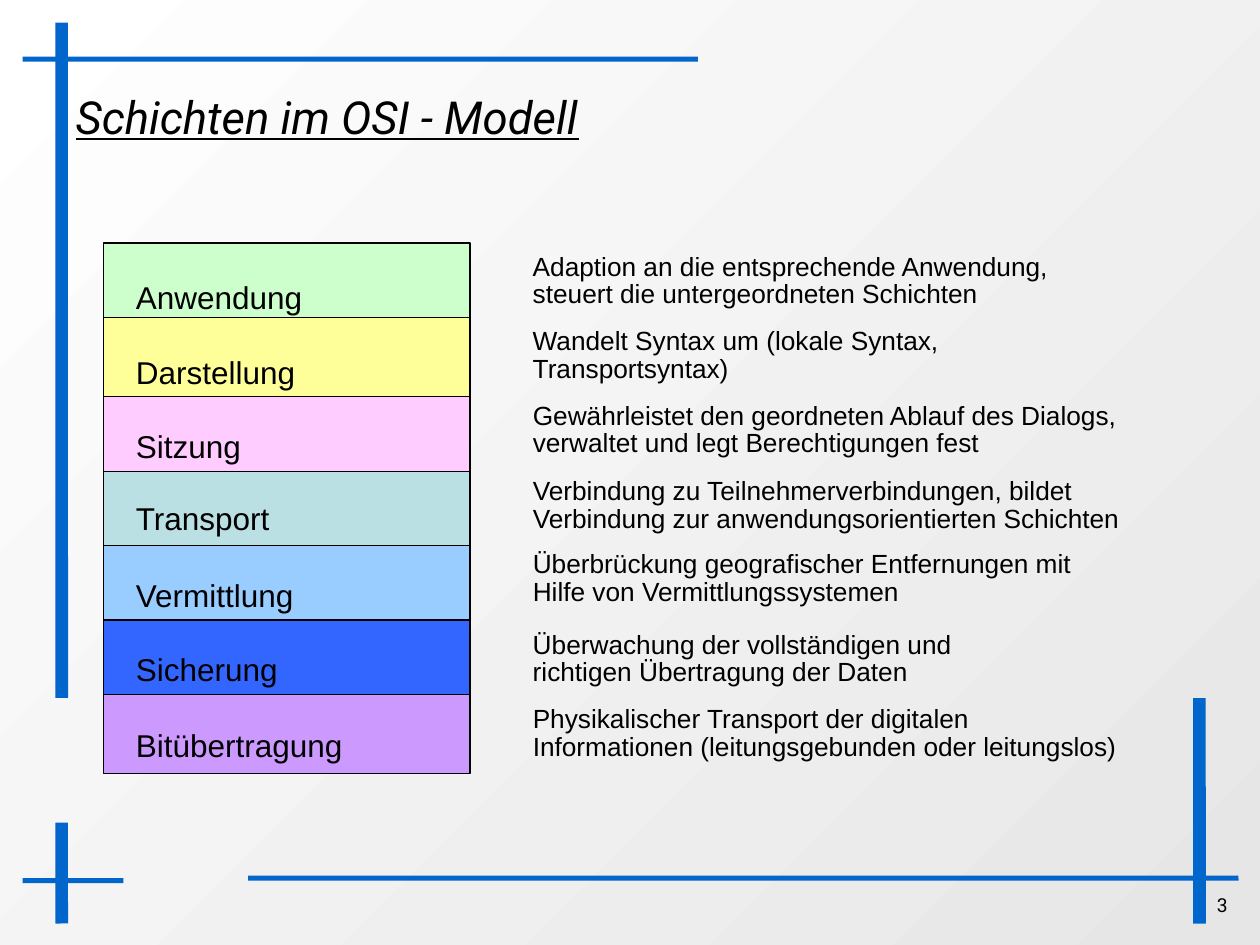
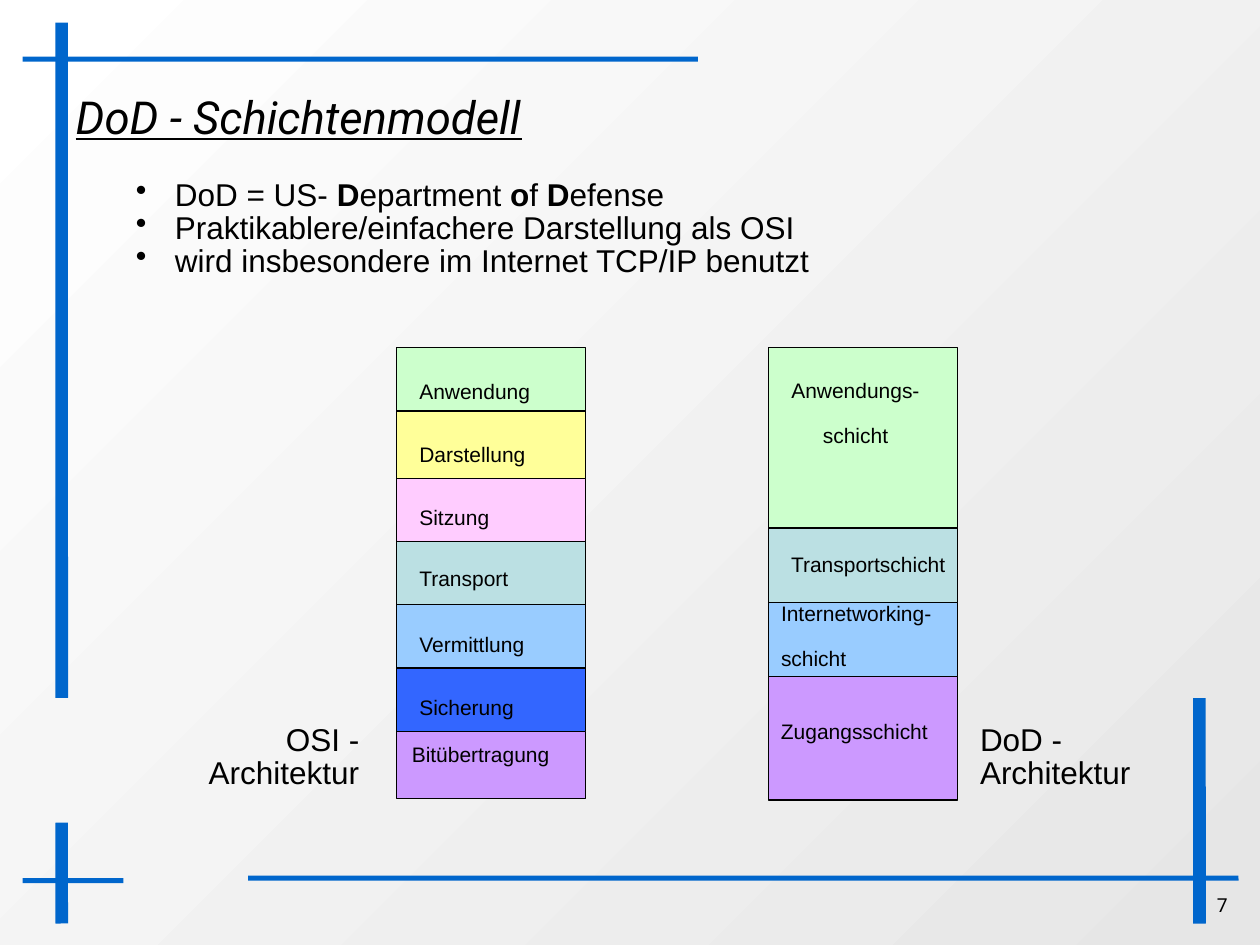
import pptx
import pptx.dml.color
import pptx.enum.shapes
import pptx.enum.text
import pptx.oxml
import pptx.oxml.ns
import pptx.util
from pptx.util import Inches

RGBColor = pptx.dml.color.RGBColor
ALIGN = pptx.enum.text.PP_ALIGN
ANCHOR = pptx.enum.text.MSO_ANCHOR
SHAPE = pptx.enum.shapes.MSO_SHAPE

BLACK = RGBColor(0x00, 0x00, 0x00)
WHITE = RGBColor(0xFF, 0xFF, 0xFF)
GREY = RGBColor(0xE6, 0xE6, 0xE6)
BAR_BLUE = RGBColor(0x00, 0x66, 0xCC)
GREEN = RGBColor(0xCC, 0xFF, 0xCC)
YELLOW = RGBColor(0xFF, 0xFF, 0x99)
PINK = RGBColor(0xFF, 0xCC, 0xFF)
TEAL = RGBColor(0xBB, 0xE0, 0xE3)
SKY = RGBColor(0x99, 0xCC, 0xFF)
BLUE = RGBColor(0x33, 0x66, 0xFF)
VIOLET = RGBColor(0xCC, 0x99, 0xFF)

BODY_FONT = "Arial"
TITLE_FONT = "Roboto"
TIGHT = 0.87
LABEL_GAP = pptx.util.Pt(11.2)

FRAME_BARS = [
    (9.47, 5.54, 0.1, 1.79),
    (1.97, 6.95, 7.86, 0.04),
    (0.44, 0.18, 0.1, 5.36),
    (0.18, 0.45, 5.36, 0.04),
    (0.44, 6.53, 0.1, 0.8),
    (0.18, 6.97, 0.8, 0.04),
]

# name, colour, top within the stack, drop of the label within the layer
OSI_LAYERS = [
    ("Anwendung", GREEN, 0, 0.23),
    ("Darstellung", YELLOW, 0.59, 0.23),
    ("Sitzung", PINK, 1.22, 0.19),
    ("Transport", TEAL, 1.81, 0.17),
    ("Vermittlung", SKY, 2.4, 0.19),
    ("Sicherung", BLUE, 2.99, 0.19),
    ("Bitübertragung", VIOLET, 3.58, 0.2),
]
OSI_LAYER_HEIGHT = 0.63

OSI_TASKS = [
    (1.97, 4.53, "Adaption an die entsprechende Anwendung, "
                 "steuert die untergeordneten Schichten"),
    (2.56, 4.53, "Wandelt Syntax um (lokale Syntax, Transportsyntax)"),
    (3.15, 4.92, "Gewährleistet den geordneten Ablauf des Dialogs, "
                 "verwaltet und legt Berechtigungen fest"),
    (3.75, 5.31, "Verbindung zu Teilnehmerverbindungen, bildet\n"
                 "Verbindung zur anwendungsorientierten Schichten"),
    (4.33, 4.92, "Überbrückung geografischer Entfernungen mit "
                 "Hilfe von Vermittlungssystemen"),
    (4.97, 3.94, "Überwachung der vollständigen und "
                 "richtigen Übertragung der Daten"),
    (5.56, 4.92, "Physikalischer Transport der digitalen "
                 "Informationen (leitungsgebunden oder leitungslos)"),
]

DOD_LAYERS = [(GREEN, 1.43), (TEAL, 0.59), (SKY, 0.59), (VIOLET, 0.98)]
DOD_LABELS = [
    (6.18, 2.95, 1.22, 0.66, "Anwendungs-\nschicht", ALIGN.CENTER),
    (6.18, 4.33, 1.49, 0.3, "Transportschicht", ALIGN.LEFT),
    (6.1, 4.72, 2.48, 0.66, "Internetworking-\nschicht", ALIGN.LEFT),
    (6.1, 5.65, 1.53, 0.3, "Zugangsschicht", ALIGN.LEFT),
]

DOD_FACTS = [
    [("DoD = US- ", False), ("D", True), ("epartment ", False), ("o", True),
     ("f ", False), ("D", True), ("efense", False)],
    [("Praktikablere/einfachere Darstellung als OSI", False)],
    [("wird insbesondere im Internet TCP/IP benutzt", False)],
]


class Deck:
    def __init__(self):
        self.presentation = pptx.Presentation()
        self.presentation.slide_width = Inches(10)
        self.presentation.slide_height = Inches(7.5)
        self.layout = self.presentation.slide_layouts[5]
        self.slide = None
        backdrop = self.layout.background.fill
        backdrop.gradient()
        backdrop.gradient_angle = 135
        for stop, color in zip(backdrop.gradient_stops, (GREY, WHITE)):
            stop.color.rgb = color

    def start_slide(self, title, number):
        self.slide = self.presentation.slides.add_slide(self.layout)
        heading = self.slide.shapes.title
        heading.left, heading.top = Inches(0.5), Inches(0.3)
        heading.width, heading.height = Inches(9), Inches(1.25)
        heading.text_frame.text = title
        heading.text_frame.vertical_anchor = ANCHOR.MIDDLE
        self.style(heading.text_frame, 26, TITLE_FONT)
        font = heading.text_frame.paragraphs[0].runs[0].font
        font.italic = font.underline = True
        for bar in FRAME_BARS:
            rounded = self.block(*bar, BAR_BLUE, SHAPE.ROUNDED_RECTANGLE)
            rounded.adjustments[0] = 0.02
            rounded.line.fill.background()
        self.text(9.56, 7.05, 0.26, 0.36, number, 11, TITLE_FONT,
                  align=ALIGN.CENTER, spacing=0.98)

    def style(self, frame, size, font=BODY_FONT, align=ALIGN.LEFT,
              spacing=None, before=None):
        for paragraph in frame.paragraphs:
            paragraph.alignment = align
            paragraph.line_spacing = spacing
            paragraph.space_before = before
            for run in paragraph.runs:
                run.font.size = pptx.util.Pt(size)
                run.font.name = font
                run.font.color.rgb = BLACK

    def block(self, left, top, width, height, color, kind=SHAPE.RECTANGLE):
        shape = self.slide.shapes.add_shape(
            kind, Inches(left), Inches(top), Inches(width), Inches(height))
        shape.shadow.inherit = False
        shape.fill.solid()
        shape.fill.fore_color.rgb = color
        shape.line.color.rgb = BLACK
        shape.line.width = pptx.util.Pt(0.75)
        return shape

    def text(self, left, top, width, height, words, size, font=BODY_FONT,
             **paragraph_style):
        box = self.slide.shapes.add_textbox(
            Inches(left), Inches(top), Inches(width), Inches(height))
        box.text_frame.word_wrap = True
        box.text_frame.text = words
        self.style(box.text_frame, size, font, **paragraph_style)
        return box

    def osi_stack(self, left, top, width, scale, label_left, label_width, size):
        for _, color, offset, _ in OSI_LAYERS:
            self.block(left, top + offset * scale, width,
                       OSI_LAYER_HEIGHT * scale, color)
        return [
            self.text(label_left, top + (offset + drop) * scale, label_width,
                      0.4 * scale, name, size, before=LABEL_GAP)
            for name, _, offset, drop in OSI_LAYERS
        ]

    def bullets(self, left, top, width, height, items, size):
        box = self.text(left, top, width, height, "", size)
        frame = box.text_frame
        for index, parts in enumerate(items):
            paragraph = frame.add_paragraph() if index else frame.paragraphs[0]
            for words, bold in parts:
                run = paragraph.add_run()
                run.text = words
                run.font.bold = bold
        self.style(frame, size, spacing=TIGHT)
        for paragraph in frame.paragraphs:
            properties = paragraph._p.get_or_add_pPr()
            properties.set("marL", str(Inches(0.31)))
            properties.set("indent", str(-Inches(0.31)))
            properties.append(pptx.oxml.parse_xml(
                f'<a:buChar {pptx.oxml.ns.nsdecls("a")} char="•"/>'))


def build_osi_slide(deck):
    deck.start_slide("Schichten im OSI - Modell", "3")
    deck.osi_stack(0.82, 1.93, 2.91, 1, 0.98, 1.97, 18)
    for top, width, task in OSI_TASKS:
        deck.text(4.13, top, width, 0.55, task, 15, spacing=TIGHT)


def build_dod_slide(deck):
    deck.start_slide("DoD - Schichtenmodell", "7")
    osi_labels = deck.osi_stack(3.15, 2.76, 1.5, 0.85, 3.23, 1.53, 12)
    osi_labels[-1].left -= Inches(0.06)
    osi_labels[-1].top -= Inches(0.14)
    top = 2.76
    for color, height in DOD_LAYERS:
        deck.block(6.1, top, 1.5, height, color)
        top += height
    for left, top, width, height, name, align in DOD_LABELS:
        deck.text(left, top, width, height, name, 12,
                  align=align, before=LABEL_GAP)
    deck.text(1.38, 5.71, 1.57, 0.64, "OSI - Architektur", 18,
              align=ALIGN.RIGHT, spacing=TIGHT)
    deck.text(7.68, 5.71, 1.57, 0.64, "DoD -\nArchitektur", 18, spacing=TIGHT)
    deck.bullets(0.98, 1.38, 8.47, 0.91, DOD_FACTS, 18)


def main():
    deck = Deck()
    build_osi_slide(deck)
    build_dod_slide(deck)
    deck.presentation.save("out.pptx")


if __name__ == "__main__":
    main()
